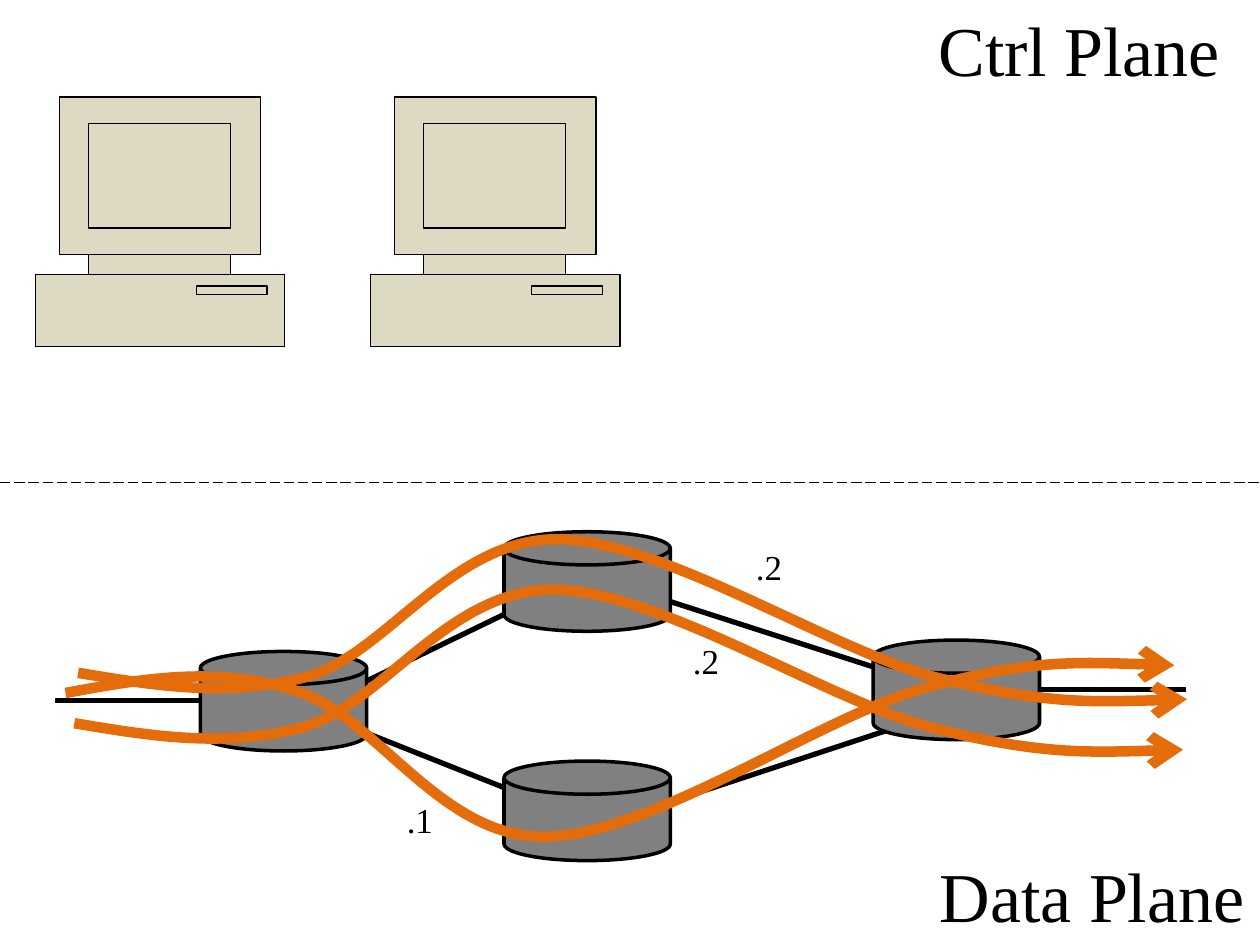
from copy import deepcopy

from pptx import Presentation
from pptx import util as u
from pptx.dml.color import RGBColor
from pptx.enum import dml, shapes, text
from pptx.oxml.ns import qn
from lxml import etree

PX = 9144  # EMU per px, 100 px to the inch
BLACK = RGBColor(0x00, 0x00, 0x00)
BEIGE = RGBColor(0xDD, 0xD9, 0xC3)
GRAY = RGBColor(0x80, 0x80, 0x80)
ORANGE = RGBColor(0xE4, 0x6C, 0x0A)
FONT = "Times New Roman"


def write(frame, content, size=20, color=BLACK, font=FONT):
    run = frame.paragraphs[0].add_run()
    run.text = content
    run.font.size = u.Pt(size)
    run.font.name = font
    run.font.color.rgb = color


def rectangle(left, top, right, bottom):
    return [(left, bottom), (left, top), (right, top), (right, bottom), (left, bottom)]


class Diagram:
    def __init__(self, slide):
        self.shapes = slide.shapes

    def finish(self, shape, fill, line, width):
        shape.shadow.inherit = False
        if fill is None:
            shape.fill.background()
        else:
            shape.fill.solid()
            shape.fill.fore_color.rgb = fill
        shape.line.color.rgb = line
        shape.line.width = u.Pt(width)
        return shape

    def label(self, content, left, top, width, height, **style):
        box = self.shapes.add_textbox(left * PX, top * PX, width * PX, height * PX)
        frame = box.text_frame
        frame.word_wrap = False
        frame.auto_size = text.MSO_AUTO_SIZE.SHAPE_TO_FIT_TEXT
        write(frame, content, **style)

    def link(self, start, end, width=3, dash=None):
        ends = [value * PX for value in start + end]
        line = self.shapes.add_connector(shapes.MSO_CONNECTOR.STRAIGHT, *ends)
        line.line.color.rgb = BLACK
        line.line.width = u.Pt(width)
        if dash is not None:
            line.line.dash_style = dash
        etree.SubElement(line._element.spPr, qn("a:effectLst"))

    def switch(self, left, top):
        disk = self.shapes.add_shape(
            shapes.MSO_SHAPE.FLOWCHART_MAGNETIC_DISK, left * PX, top * PX, 132 * PX, 79 * PX)
        self.finish(disk, GRAY, BLACK, 2)

    def computer(self, left, top):
        body = [(155, 141), (155, 125), (179, 125), (179, 0), (19, 0), (19, 125),
                (42, 125), (42, 141), (0, 141), (0, 198), (198, 198), (198, 141), (155, 141)]
        neck = rectangle(42, 125, 155, 141)
        screen = rectangle(42, 21, 155, 104)
        drive = rectangle(128, 150, 184, 157)
        builder = self.shapes.build_freeform(*body[0], scale=PX)
        builder.add_line_segments(body[1:], close=True)
        for detail in (neck, screen, drive):
            builder.move_to(*detail[0])
            builder.add_line_segments(detail[1:], close=False)
        shape = self.finish(builder.convert_to_shape(left * PX, top * PX), BEIGE, BLACK, 0.75)

        # Keep the details as unfilled outlines, so they cut no holes in the body
        body_outline = next(shape._element.iter(qn("a:path")))
        details = deepcopy(body_outline)
        details.set("fill", "none")
        body_outline.addnext(details)
        split = len(body) + 1
        for extra in list(body_outline)[split:]:
            body_outline.remove(extra)
        for extra in list(details)[:split]:
            details.remove(extra)

    def flow(self, points, dx=0, dy=0):
        points = [(x + dx, y + dy) for x, y in points]
        builder = self.shapes.build_freeform(*points[0], scale=PX)
        builder.add_line_segments(points[1:], close=False)
        shape = self.finish(builder.convert_to_shape(), None, ORANGE, 6)

        # Turn each three line segments into one Bezier curve
        outline = next(shape._element.iter(qn("a:path")))
        segments = outline.findall(qn("a:lnTo"))
        for first in range(0, len(segments), 3):
            curve = etree.SubElement(outline, qn("a:cubicBezTo"))
            for segment in segments[first:first + 3]:
                curve.append(segment[0])
                outline.remove(segment)
        etree.SubElement(shape.line._get_or_add_ln(), qn("a:tailEnd"), type="arrow")


def main():
    presentation = Presentation()
    presentation.slide_width = 1000 * PX
    presentation.slide_height = 750 * PX
    diagram = Diagram(presentation.slides.add_slide(presentation.slide_layouts[6]))

    # Control plane
    for left in (28, 294):
        diagram.computer(left, 77)
    diagram.label("Data Plane", 736, 672, 265, 77, size=40)
    diagram.label("Ctrl Plane", 735, 0, 246, 77, size=40)
    diagram.link((0, 383), (1000, 383), width=0.75, dash=dml.MSO_LINE.LONG_DASH)

    # Links between switches, hidden in part by them
    for start, end in (((226, 572), (453, 462)), ((776, 556), (484, 462)),
                       ((776, 556), (466, 658)), ((226, 556), (483, 658))):
        diagram.link(start, end)

    # Switches and outer links
    for left, top in ((159, 517), (400, 422), (400, 604), (693, 508)):
        diagram.switch(left, top)
    diagram.link((826, 547), (941, 547))
    diagram.link((44, 556), (159, 556))

    # Flows: the two upper ones share a course
    upper = [(62, 534), (122, 544), (181, 554), (244, 537), (307, 519), (358, 428), (442, 428),
             (525, 428), (661, 517), (744, 538), (828, 559), (885, 557), (942, 555)]
    lower = [(52, 550), (112, 539), (171, 528), (234, 548), (298, 567), (349, 665), (432, 664),
             (515, 664), (651, 569), (734, 546), (818, 523), (875, 526), (932, 528)]
    diagram.flow(upper)
    diagram.flow(upper, dx=-3, dy=40)
    diagram.flow(lower)

    # Flow labels
    for content, left, top in ((".2", 590, 428), (".2", 540, 503), (".1", 313, 629)):
        diagram.label(content, left, top, 41, 44)

    presentation.save("out.pptx")


if __name__ == "__main__":
    main()
